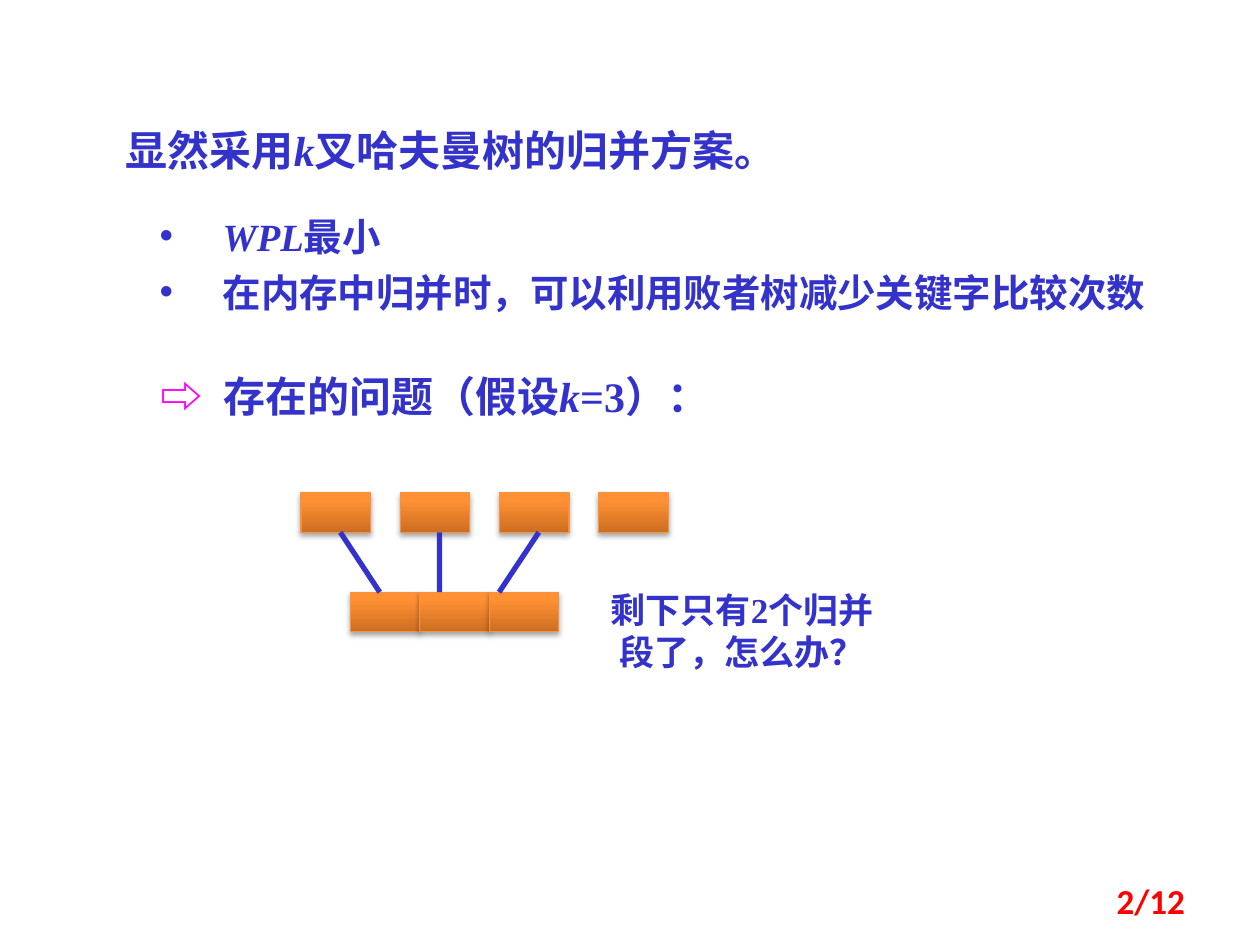
from dataclasses import dataclass

from pptx import Presentation
from pptx.dml.color import RGBColor
from pptx.enum.shapes import MSO_CONNECTOR, MSO_SHAPE
from pptx.enum.text import MSO_ANCHOR, MSO_AUTO_SIZE, PP_ALIGN
from pptx.oxml import parse_xml
from pptx.oxml.ns import nsdecls
from pptx.util import Pt


@dataclass(frozen=True)
class Theme:
    ink: str = "3333CC"
    arrow: str = "FF00FF"
    page: str = "FF0000"
    segment_line: str = "F69240"
    segment_stops: tuple = ((0, "CC6E20"), (80, "FF9034"), (100, "FF9136"))
    serif: str = "Times New Roman"
    sans: str = "Calibri"
    heading: int = 24
    bullet: int = 22
    note: int = 20


def color(value):
    return RGBColor.from_string(value)


class SlideBuilder:
    def __init__(self, slide, theme):
        self.slide = slide
        self.theme = theme

    def group(self):
        return self.slide.shapes.add_group_shape().shapes

    def text_box(self, left, top, width, height, grow=True):
        shape = self.slide.shapes.add_textbox(Pt(left), Pt(top), Pt(width), Pt(height))
        text_frame = shape.text_frame
        text_frame.word_wrap = True
        if grow:
            text_frame.auto_size = MSO_AUTO_SIZE.SHAPE_TO_FIT_TEXT
        return text_frame

    def add_runs(self, paragraph, parts, size, fill=None, font=None):
        for text in parts:
            run = paragraph.add_run()
            run.text = text
            run.font.size = Pt(size)
            run.font.name = font or self.theme.serif
            run.font.bold = True
            run.font.italic = text in ("k", "WPL")
            run.font.color.rgb = color(fill or self.theme.ink)

    def bullets(self, text_frame, items):
        for index, parts in enumerate(items):
            paragraph = text_frame.add_paragraph() if index else text_frame.paragraphs[0]
            paragraph.line_spacing = Pt(32)
            properties = paragraph._p.get_or_add_pPr()
            properties.set("marL", str(Pt(36)))
            properties.set("indent", str(Pt(-36)))
            properties.append(parse_xml(f'<a:buFont {nsdecls("a")} typeface="Arial"/>'))
            properties.append(parse_xml(f'<a:buChar {nsdecls("a")} char="•"/>'))
            self.add_runs(paragraph, parts, self.theme.bullet)

    def arrow_heading(self, text_frame, parts):
        paragraph = text_frame.paragraphs[0]
        properties = paragraph._p.get_or_add_pPr()
        properties.set("marL", str(Pt(6)))
        properties.set("indent", "0")
        properties.append(parse_xml(
            f'<a:tabLst {nsdecls("a")}><a:tab pos="{Pt(40)}" algn="l"/></a:tabLst>'))
        self.add_runs(paragraph, ["⇨\t"], self.theme.heading, self.theme.arrow)
        self.add_runs(paragraph, parts, self.theme.heading)

    def segment(self, shapes, left, top, width, height):
        shape = shapes.add_shape(MSO_SHAPE.RECTANGLE, Pt(left), Pt(top), Pt(width), Pt(height))
        shape.line.color.rgb = color(self.theme.segment_line)
        shape.line.width = Pt(0.75)
        stops = "".join(
            f'<a:gs pos="{position * 1000}"><a:srgbClr val="{value}"/></a:gs>'
            for position, value in self.theme.segment_stops)
        properties = shape._element.spPr
        properties.prstGeom.addnext(parse_xml(
            f'<a:gradFill {nsdecls("a")} rotWithShape="1"><a:gsLst>{stops}</a:gsLst>'
            '<a:lin ang="16200000" scaled="0"/></a:gradFill>'))
        properties.append(parse_xml(
            f'<a:effectLst {nsdecls("a")}><a:outerShdw blurRad="{Pt(3.1)}" dist="{Pt(1.8)}" '
            'dir="5400000" rotWithShape="0"><a:srgbClr val="000000"><a:alpha val="35000"/>'
            '</a:srgbClr></a:outerShdw></a:effectLst>'))

    def branch(self, shapes, start_x, start_y, end_x, end_y):
        connector = shapes.add_connector(
            MSO_CONNECTOR.STRAIGHT, Pt(start_x), Pt(start_y), Pt(end_x), Pt(end_y))
        connector.line.color.rgb = color(self.theme.ink)
        connector.line.width = Pt(3)
        connector._element.spPr.append(parse_xml(f'<a:effectLst {nsdecls("a")}/>'))


def main():
    presentation = Presentation()
    presentation.slide_width, presentation.slide_height = Pt(720), Pt(540)
    theme = Theme()
    builder = SlideBuilder(presentation.slides.add_slide(presentation.slide_layouts[6]), theme)

    title = builder.text_box(64.8, 67.7, 396, 36)
    builder.add_runs(title.paragraphs[0], ["显然采用", "k", "叉哈夫曼树的归并方案。"], theme.heading)

    width, height = 39.7, 22.6
    run_left, run_top, run_pitch = 172, 281.6, 56.7
    merged_left, merged_top = 200.2, 338.4
    runs = builder.group()
    for index in range(4):
        builder.segment(runs, run_left + index * run_pitch, run_top, width, height)
    merge = builder.group()
    for index in range(3):
        builder.segment(merge, merged_left + index * width, merged_top, width, height)
    for index in range(3):
        builder.branch(merge, 194.5 + index * run_pitch, run_top + height,
                       217 + index * 34.1, merged_top)

    question = builder.text_box(336.2, 332.6, 175.7, 55.4)
    question.paragraphs[0].alignment = PP_ALIGN.CENTER
    builder.add_runs(question.paragraphs[0], ["剩下只有2个归并段了，怎么办？"], theme.note)

    page = builder.text_box(516.2, 500.4, 168, 28.8, grow=False)
    page.vertical_anchor = MSO_ANCHOR.MIDDLE
    page.paragraphs[0].alignment = PP_ALIGN.RIGHT
    builder.add_runs(page.paragraphs[0], ["2/12"], theme.note, theme.page, theme.sans)

    problem = builder.text_box(78.5, 208.1, 371.5, 36)
    builder.arrow_heading(problem, ["存在的问题（假设", "k", "=3）："])

    benefits = builder.text_box(84.2, 112.3, 590.4, 72)
    builder.bullets(benefits, [["WPL", "最小"], ["在内存中归并时，可以利用败者树减少关键字比较次数"]])

    presentation.save("out.pptx")


if __name__ == "__main__":
    main()
